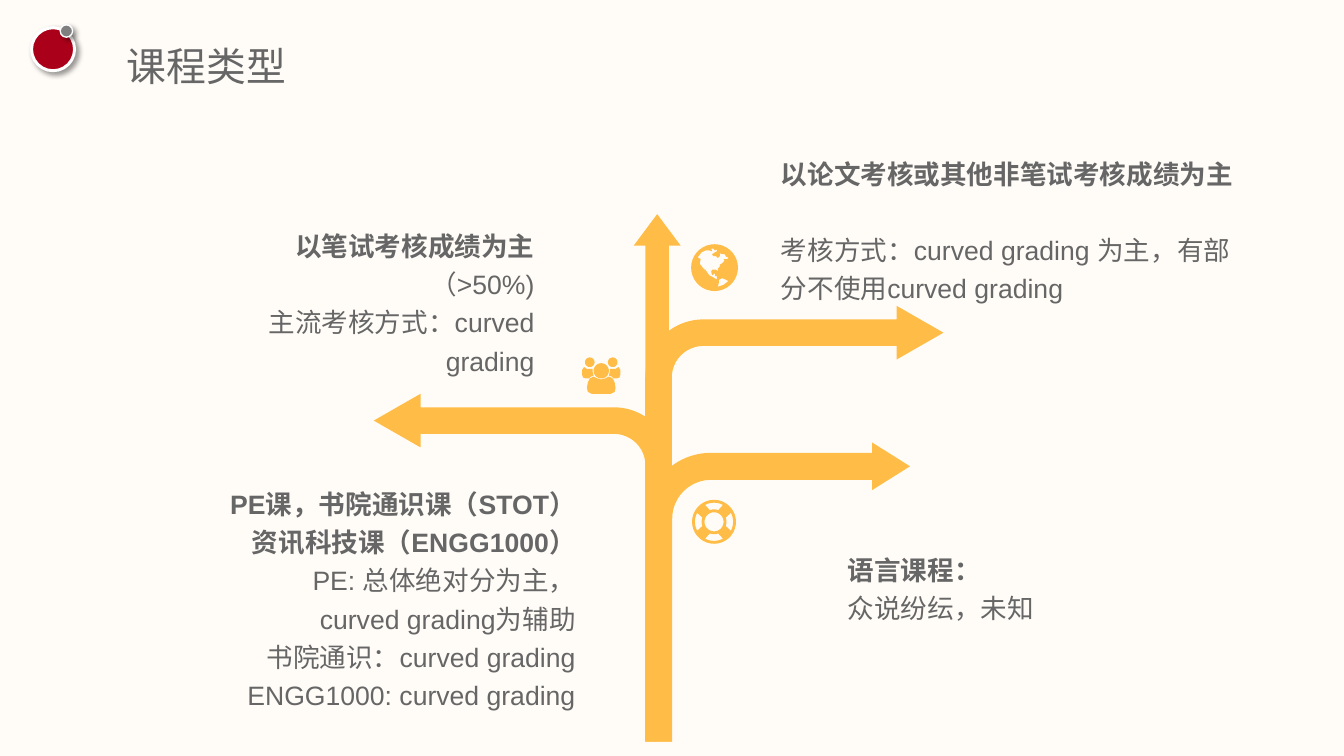
from math import cos, radians, sin

from lxml.etree import SubElement
from pptx import Presentation
from pptx.dml.color import RGBColor
from pptx.enum.shapes import MSO_SHAPE
from pptx.enum.text import PP_ALIGN
from pptx.oxml.ns import qn
from pptx.util import Inches, Pt

HUES = {"back": "FFFCF8", "gold": "FFBD47", "text": "666666",
        "red": "AB0019", "gray": "7F7F7F", "white": "FFFFFF", "black": "000000"}
BODY, HEAD = "Arial", "Noto Sans CJK SC"


def hue(name):
    return RGBColor.from_string(HUES[name])


def arc(x, y, r, start=0, end=360, step=10):
    """Points along a circle, angles in degrees clockwise from the right."""
    count = max(1, round(abs(end - start) / step))
    turns = [radians(start + (end - start) * i / count) for i in range(count + 1)]
    return [(x + r * cos(t), y + r * sin(t)) for t in turns]


class Deck:
    """Holds the presentation, its style and the current slide."""

    def __init__(self, wide, high):
        self.file = Presentation()
        self.file.slide_width, self.file.slide_height = Inches(wide), Inches(high)
        self.slide = self.file.slides.add_slide(self.file.slide_layouts[6])
        fill = self.slide.background.fill
        fill.solid()
        fill.fore_color.rgb = hue("back")

    def paint(self, shape, color):
        shape.shadow.inherit = False
        shape.fill.solid()
        shape.fill.fore_color.rgb = hue(color)
        shape.line.fill.background()
        return shape

    def arrow(self, kind, box, adjust, flip=False):
        shape = self.slide.shapes.add_shape(kind, *map(Inches, box))
        for i, value in enumerate(adjust):
            shape.adjustments[i] = value
        if flip:
            shape.element.spPr.find(qn("a:xfrm")).set("flipH", "1")
        self.paint(shape, "gold")

    def dot(self, x, y, size, color, edge):
        """A circle with a white rim and a soft shadow."""
        box = map(Inches, (x, y, size, size))
        shape = self.paint(self.slide.shapes.add_shape(MSO_SHAPE.OVAL, *box), color)
        shape.line.color.rgb = hue("white")
        shape.line.width = Pt(edge)
        effects = shape.element.spPr.find(qn("a:effectLst"))
        shade = SubElement(effects, qn("a:outerShdw"), blurRad=str(Pt(4)),
                           dist=str(Pt(3)), dir="2700000", algn="tl", rotWithShape="0")
        tint = SubElement(shade, qn("a:srgbClr"), val=HUES["black"])
        SubElement(tint, qn("a:alpha"), val="40000")

    def icon(self, loops):
        """One outline from closed loops; a loop inside another is a hole."""
        loops = [[(Inches(x), Inches(y)) for x, y in loop] for loop in loops]
        pen = self.slide.shapes.build_freeform(*loops[0][0])
        for i, loop in enumerate(loops):
            if i:
                pen.move_to(*loop[0])
            pen.add_line_segments(loop[1:], close=True)
        self.paint(pen.convert_to_shape(), "gold")

    def text(self, box, lines, align=PP_ALIGN.LEFT, size=20, font=BODY,
             space=1.2, inset=0.05):
        """Lines are (words, bold, points before)."""
        frame = self.slide.shapes.add_textbox(*map(Inches, box)).text_frame
        frame.word_wrap = True
        frame.margin_top = frame.margin_bottom = Inches(inset)
        for i, (words, bold, before) in enumerate(lines):
            para = frame.add_paragraph() if i else frame.paragraphs[0]
            para.alignment, para.line_spacing = align, space
            if before:
                para.space_before = Pt(before)
            run = para.add_run()
            run.text = words
            run.font.size, run.font.bold, run.font.name = Pt(size), bold, font
            run.font.color.rgb = hue("text")
            SubElement(run.font._element, qn("a:ea"), typeface=font)


GLOBE = [
    arc(7.475, 2.8, 0.245),
    # the Americas
    [(7.3, 2.69), (7.34, 2.64), (7.38, 2.62), (7.42, 2.62), (7.45, 2.63),
     (7.44, 2.6), (7.46, 2.6), (7.48, 2.62), (7.5, 2.61), (7.5, 2.63),
     (7.48, 2.64), (7.45, 2.66), (7.46, 2.68), (7.49, 2.68), (7.51, 2.7),
     (7.53, 2.68), (7.53, 2.65), (7.56, 2.66), (7.58, 2.66), (7.6, 2.69),
     (7.62, 2.69), (7.61, 2.71), (7.57, 2.71), (7.58, 2.73), (7.56, 2.75),
     (7.53, 2.77), (7.53, 2.79), (7.51, 2.81), (7.51, 2.84), (7.49, 2.82),
     (7.45, 2.82), (7.44, 2.84), (7.45, 2.88), (7.48, 2.86), (7.48, 2.89),
     (7.5, 2.89), (7.5, 2.92), (7.52, 2.93), (7.49, 2.92), (7.46, 2.9),
     (7.42, 2.88), (7.37, 2.81), (7.38, 2.84), (7.36, 2.81), (7.32, 2.76),
     (7.33, 2.71), (7.31, 2.7)],
    [(7.62, 2.94), (7.58, 2.92), (7.55, 2.91), (7.52, 2.93), (7.52, 2.96),
     (7.51, 3), (7.57, 2.98)],
]
RING = (7.47, 5.46)
BUOY = [arc(*RING, 0.23), arc(*RING, 0.1)] + [
    arc(*RING, 0.2, mid - 28, mid + 28) + arc(*RING, 0.13, mid + 20, mid - 20)
    for mid in range(0, 360, 90)]
AXIS = 6.29
ARM = [(6.16, 3.96), (6.13, 3.96), (6.1, 3.95), (6.09, 3.92), (6.09, 3.87),
       (6.11, 3.84), (6.14, 3.86), (6.2, 3.86), (6.2, 3.89), (6.21, 3.93),
       (6.18, 3.94)]
CROWD = [
    arc(AXIS, 3.88, 0.08),
    [(6.21, 3.94), (6.25, 3.96), (6.29, 3.97), (6.33, 3.96), (6.37, 3.94),
     (6.41, 3.96), (6.43, 4), (6.44, 4.06), (6.43, 4.1), (6.39, 4.12),
     (6.19, 4.12), (6.15, 4.1), (6.14, 4.06), (6.15, 4), (6.17, 3.96)],
    ARM, [(2 * AXIS - x, y) for x, y in ARM],
    arc(AXIS - 0.12, 3.79, 0.05), arc(AXIS + 0.12, 3.79, 0.05),
]


def main():
    deck = Deck(14.06, 7.91)
    bend, wide = MSO_SHAPE.BENT_ARROW, (0.089, 0.09, 0.157, 0.195)
    deck.arrow(MSO_SHAPE.UP_ARROW, (6.63, 2.24, 0.49, 5.51), (0.5, 0.671))
    deck.arrow(bend, (6.75, 3.2, 3.12, 4.55), wide)
    deck.arrow(bend, (3.91, 4.12, 3.12, 3.64), wide, flip=True)
    deck.arrow(bend, (6.75, 4.63, 2.77, 3.13), (0.102, 0.09, 0.143, 0.249))

    deck.text((0, 4.99, 6.12, 2.07), [
        ("PE课，书院通识课（STOT）", True, 0),
        ("资讯科技课（ENGG1000）", True, 0),
        ("PE: 总体绝对分为主，", False, 0),
        ("curved grading为辅助", False, 0),
        ("书院通识：curved grading", False, 0),
        ("ENGG1000: curved grading", False, 0)], PP_ALIGN.RIGHT)
    deck.text((8.77, 5.68, 2.27, 1.02), [
        ("语言课程：", True, 0), ("众说纷纭，未知", False, 0)])
    deck.text((2.7, 2.29, 2.99, 1.02), [
        ("以笔试考核成绩为主", True, 0),
        ("（>50%)", False, 0),
        ("主流考核方式：curved grading", False, 0)], PP_ALIGN.RIGHT)
    deck.text((8.07, 1.54, 5.09, 1.02), [
        ("以论文考核或其他非笔试考核成绩为主", True, 0),
        ("考核方式：curved grading 为主，有部分不使用curved grading", False, 28)])

    for loops in (GLOBE, BUOY, CROWD):
        deck.icon(loops)
    deck.dot(0.33, 0.29, 0.45, "red", 2.25)
    deck.dot(0.63, 0.26, 0.13, "gray", 1)
    deck.text((1.23, 0.34, 3.66, 0.27), [("课程类型", False, 0)],
              size=30, font=HEAD, space=1, inset=0.1)
    deck.file.save("out.pptx")


if __name__ == "__main__":
    main()
